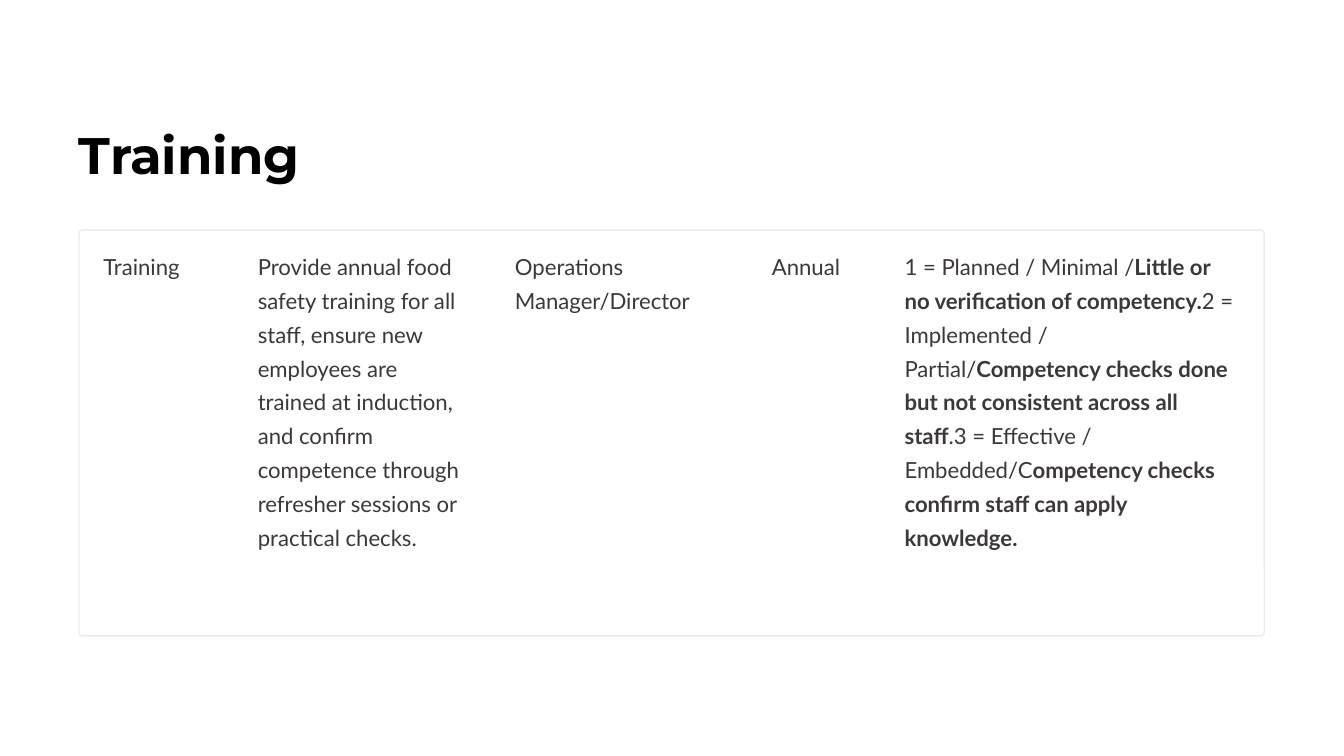
from lxml import etree
from pptx import Presentation
from pptx import util as u
from pptx.dml.color import RGBColor
from pptx.enum import shapes, text
from pptx.oxml import ns

HUES = {"black": "000000", "white": "FFFFFF", "body": "3D3838"}


class Deck:
    """Holds the style and the current slide."""

    def __init__(self, wide, high):
        self.file = Presentation()
        self.file.slide_width = u.Pt(wide)
        self.file.slide_height = u.Pt(high)
        self.slide = self.file.slides.add_slide(self.file.slide_layouts[6])
        self.paint(self.slide.background.fill, "black")

    def paint(self, fill, hue, alpha=100):
        fill.solid()
        fill.fore_color.rgb = RGBColor.from_string(HUES[hue])
        if alpha < 100:
            for color in fill._xPr.iter(ns.qn("a:srgbClr")):
                etree.SubElement(color, ns.qn("a:alpha"), val=str(alpha * 1000))

    def panel(self, box, fill=None, line=None, alpha=100, curve=None):
        kind = shapes.MSO_SHAPE.RECTANGLE
        if curve is not None:
            kind = shapes.MSO_SHAPE.ROUNDED_RECTANGLE
        item = self.slide.shapes.add_shape(kind, *map(u.Pt, box))
        item.shadow.inherit = False
        if curve is not None:
            item.adjustments[0] = curve
        if fill:
            self.paint(item.fill, fill, alpha)
        else:
            item.fill.background()
        if line:
            item.line.width = u.Pt(1.2)
            self.paint(item.line.fill, line, alpha)
        else:
            item.line.fill.background()

    def words(self, box, runs, font="Lato", size=19, lead=29, hue="body", wrap=True):
        frame = self.slide.shapes.add_textbox(*map(u.Pt, box)).text_frame
        frame.word_wrap = wrap
        frame.auto_size = text.MSO_AUTO_SIZE.NONE
        frame.margin_left = frame.margin_right = 0
        frame.margin_top = frame.margin_bottom = 0
        para = frame.paragraphs[0]
        para.line_spacing = u.Pt(lead)
        for words, bold in runs:
            run = para.add_run()
            run.text = words
            run.font.name = font
            run.font.size = u.Pt(size)
            run.font.bold = bold
            run.font.color.rgb = RGBColor.from_string(HUES[hue])


def main():
    deck = Deck(1152, 648)

    # Backdrop and title
    deck.panel((0, 0, 1152, 648), fill="white")
    deck.words((67.7, 103, 441, 55.4), [("Training", True)],
               font="Montserrat", size=44, lead=55, hue="black", wrap=False)

    # Card with its row band
    deck.panel((67.7, 197.3, 1015.9, 347.8), line="black", alpha=8, curve=0.008)
    deck.panel((69.1, 198.7, 1013.8, 344.9), fill="white", alpha=4)

    # Row cells: left, width, height, wrap, runs
    cells = [
        (88.6, 92.9, 29, False, [("Training", False)]),
        (221, 180.7, 262, True, [
            ("Provide annual food safety training for all staff, ensure new "
             "employees are trained at induction, and confirm competence "
             "through refresher sessions or practical checks.", False)]),
        (441.4, 180.7, 58, True, [("Operations Manager/Director", False)]),
        (661.7, 74.2, 29, False, [("Annual", False)]),
        (775.4, 288, 320, True, [
            ("1 = Planned / Minimal /", False),
            ("Little or no verification of competency.", True),
            ("2 = Implemented / Partial/", False),
            ("Competency checks done but not consistent across all staff", True),
            (".3 = Effective / Embedded/C", False),
            ("ompetency checks confirm staff can apply knowledge.", True)]),
    ]
    for left, wide, high, wrap, runs in cells:
        deck.words((left, 211, wide, high), runs, wrap=wrap)

    deck.file.save("out.pptx")


if __name__ == "__main__":
    main()
